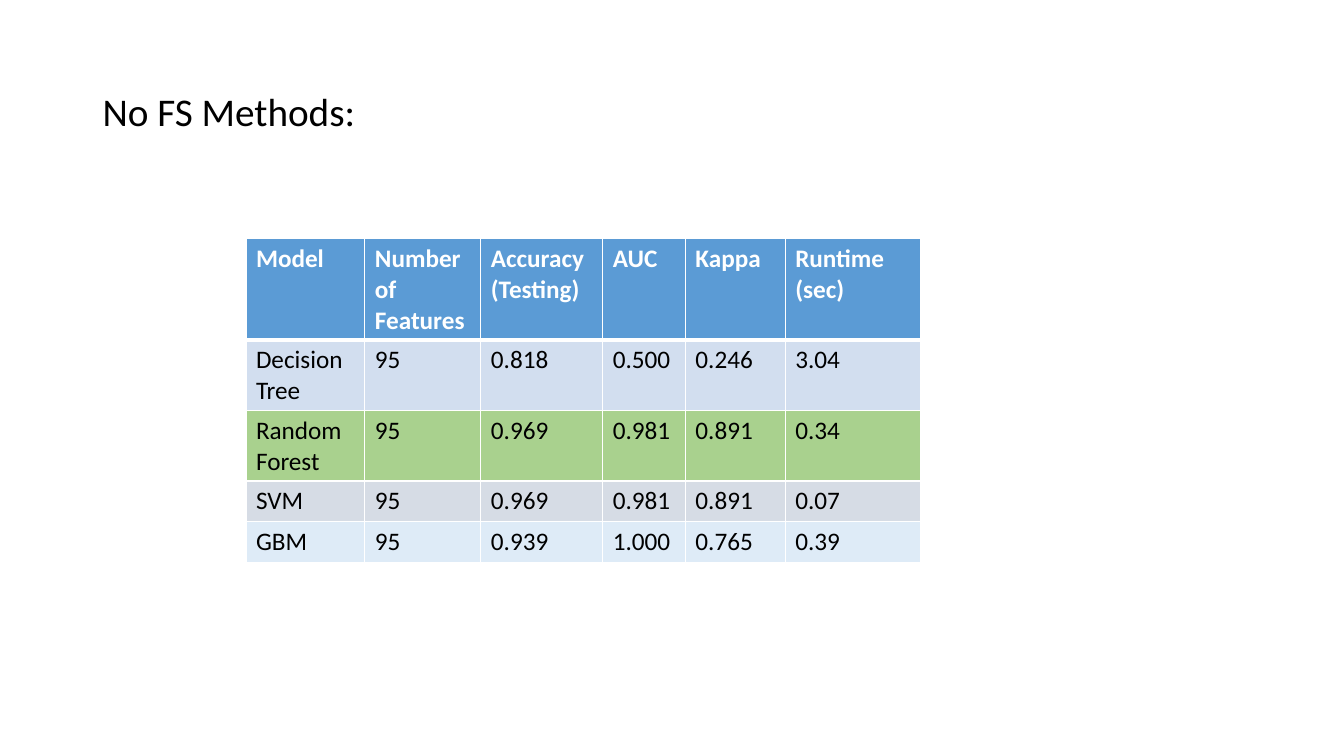
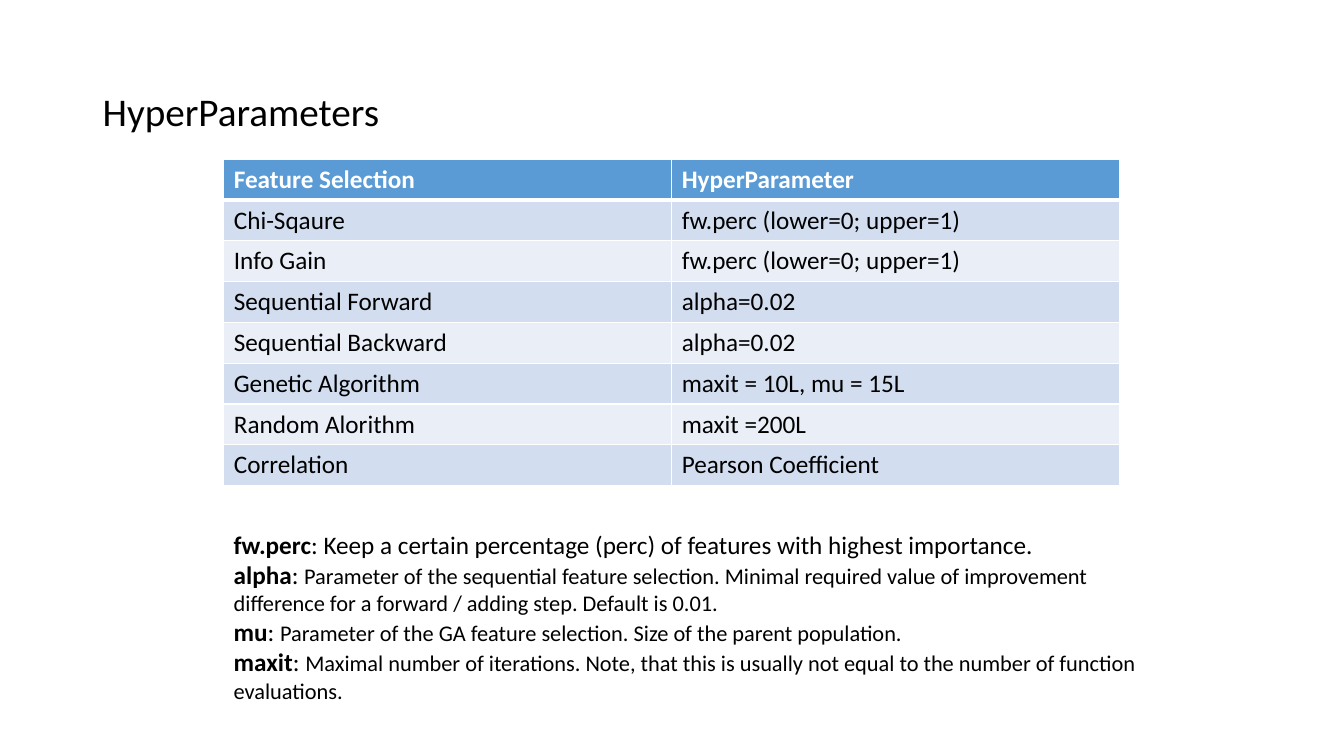
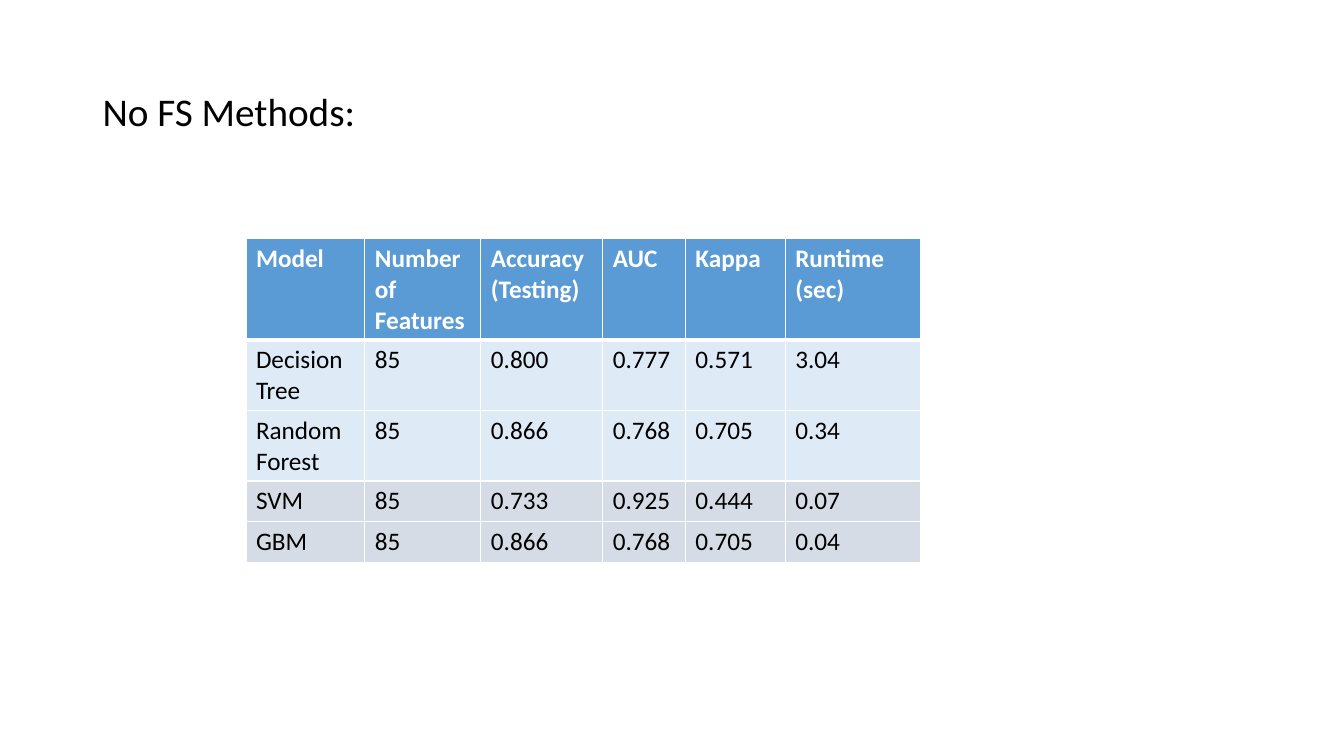
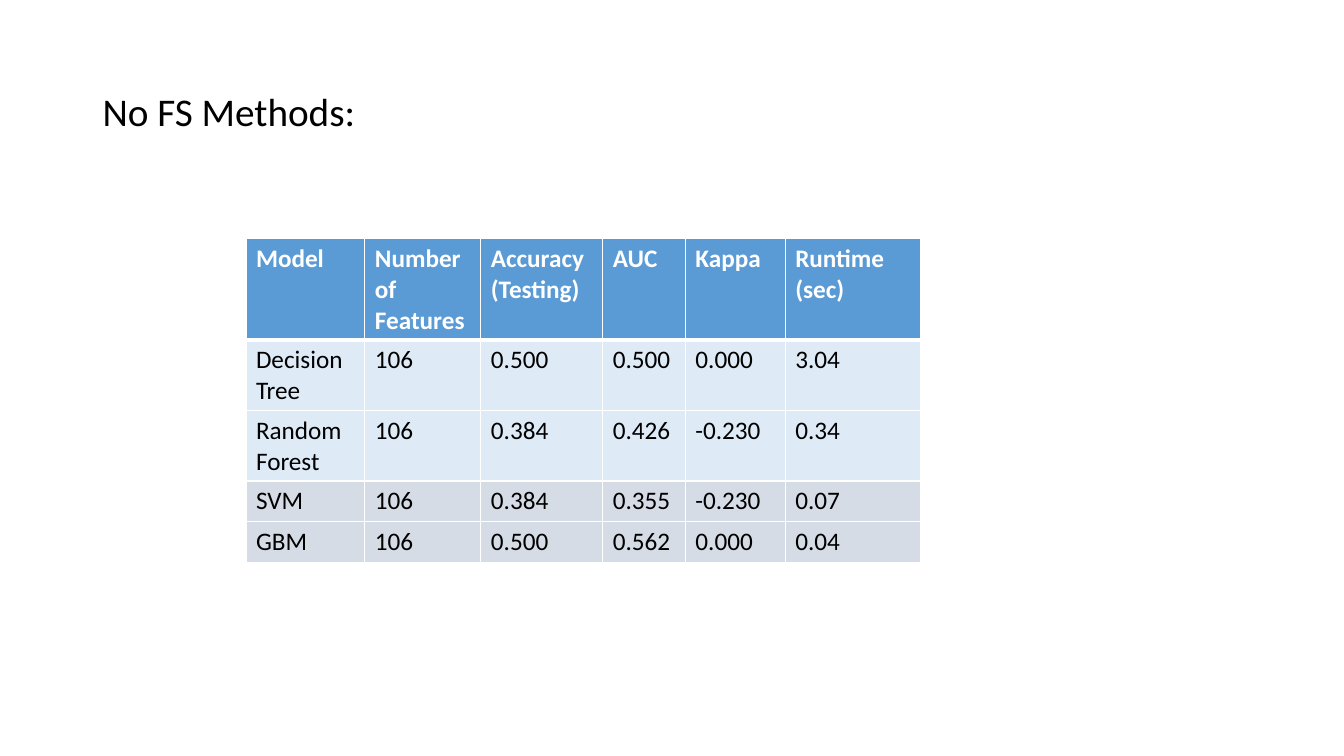
from pptx import Presentation
from pptx.dml.color import RGBColor
from pptx.enum.text import MSO_ANCHOR
from pptx.oxml.ns import qn
from pptx.util import Inches, Pt
from lxml import etree

MIDDLE = MSO_ANCHOR.MIDDLE
TOP = MSO_ANCHOR.TOP

BLACK = RGBColor(0x00, 0x00, 0x00)
WHITE = RGBColor(0xFF, 0xFF, 0xFF)
HEADER_BLUE = RGBColor(0x5B, 0x9B, 0xD5)
BAND_DARK = RGBColor(0xD2, 0xDE, 0xEF)
BAND_LIGHT = RGBColor(0xEA, 0xEF, 0xF7)
PALE_BLUE = RGBColor(0xDE, 0xEB, 0xF7)
GREY_BLUE = RGBColor(0xD6, 0xDC, 0xE5)
BEST_GREEN = RGBColor(0xA9, 0xD1, 0x8E)

FONT = "Calibri"
TITLE_SIZE = 28
BODY_SIZE = 18
DETAIL_SIZE = 16
THIN = 1
THICK = 3

SLIDE_WIDTH = Inches(13.333)
SLIDE_HEIGHT = Inches(7.5)
ROW_SHARE = 5.4

RESULT_HEADER = ["Model", "Number of Features", "Accuracy (Testing)",
                 "AUC", "Kappa", "Runtime (sec)"]
RESULT_COLUMNS = [8.85, 8.63, 9.07, 6.15, 7.43, 10.05]
MODELS = ["Decision Tree", "Random Forest", "SVM", "GBM"]
TWO_PAIRS = [PALE_BLUE, PALE_BLUE, GREY_BLUE, GREY_BLUE]

FIRST_RESULTS = [
    ["0.818", "0.500", "0.246", "3.04"],
    ["0.969", "0.981", "0.891", "0.34"],
    ["0.969", "0.981", "0.891", "0.07"],
    ["0.939", "1.000", "0.765", "0.39"],
]
SECOND_RESULTS = [
    ["0.800", "0.777", "0.571", "3.04"],
    ["0.866", "0.768", "0.705", "0.34"],
    ["0.733", "0.925", "0.444", "0.07"],
    ["0.866", "0.768", "0.705", "0.04"],
]
THIRD_RESULTS = [
    ["0.500", "0.500", "0.000", "3.04"],
    ["0.384", "0.426", "-0.230", "0.34"],
    ["0.384", "0.355", "-0.230", "0.07"],
    ["0.500", "0.562", "0.000", "0.04"],
]
HYPERPARAMETERS = [
    ["Feature Selection", "HyperParameter"],
    ["Chi-Sqaure", "fw.perc (lower=0; upper=1)"],
    ["Info Gain", "fw.perc (lower=0; upper=1)"],
    ["Sequential Forward", "alpha=0.02"],
    ["Sequential Backward", "alpha=0.02"],
    ["Genetic Algorithm", "maxit = 10L, mu = 15L"],
    ["Random Alorithm", "maxit =200L"],
    ["Correlation", "Pearson Coefficient"],
]
DEFINITIONS = [
    ("fw.perc", "Keep a certain percentage (perc) of features with highest "
     "importance.", BODY_SIZE),
    ("alpha", "Parameter of the sequential feature selection. Minimal required "
     "value of improvement difference for a forward / adding step. "
     "Default is 0.01.", DETAIL_SIZE),
    ("mu", "Parameter of the GA feature selection. Size of the parent "
     "population.", DETAIL_SIZE),
    ("maxit", "Maximal number of iterations. Note, that this is usually not "
     "equal to the number of function evaluations.", DETAIL_SIZE),
]


def across(percent):
    return round(SLIDE_WIDTH * percent / 100)


def down(percent):
    return round(SLIDE_HEIGHT * percent / 100)


def add_run(paragraph, text, size=BODY_SIZE, color=BLACK, bold=False):
    run = paragraph.add_run()
    run.text = text
    run.font.name = FONT
    run.font.size = Pt(size)
    run.font.bold = bold
    run.font.color.rgb = color


def add_text_frame(slide, left, top, width, height, anchor):
    box = slide.shapes.add_textbox(across(left), down(top),
                                   across(width), down(height))
    frame = box.text_frame
    frame.word_wrap = True
    frame.vertical_anchor = anchor
    return frame


def add_titled_slide(presentation, title):
    slide = presentation.slides.add_slide(presentation.slide_layouts[6])
    frame = add_text_frame(slide, 6.9, 5.33, 86.25, 19.33, MIDDLE)
    paragraph = frame.paragraphs[0]
    paragraph.line_spacing = 0.9
    add_run(paragraph, title, TITLE_SIZE)
    return slide


def set_borders(cell, top, bottom):
    properties = cell._tc.get_or_add_tcPr()
    for side, width in (("L", THIN), ("R", THIN), ("T", top), ("B", bottom)):
        line = etree.SubElement(properties, qn(f"a:ln{side}"), w=str(Pt(width)))
        fill = etree.SubElement(line, qn("a:solidFill"))
        etree.SubElement(fill, qn("a:srgbClr"), val=str(WHITE))


def add_grid_table(slide, left, top, column_shares, rows, body_fills):
    table = slide.shapes.add_table(
        len(rows), len(column_shares), across(left), down(top),
        across(sum(column_shares)), down(ROW_SHARE * len(rows))).table
    table.first_row = False
    table.horz_banding = False
    for column, share in zip(table.columns, column_shares):
        column.width = across(share)
    for index, (values, fill) in enumerate(zip(rows, [HEADER_BLUE] + body_fills)):
        is_header = index == 0
        table.rows[index].height = down(ROW_SHARE)
        for cell, value in zip(table.rows[index].cells, values):
            set_borders(cell, THICK if index == 1 else THIN,
                        THICK if is_header else THIN)
            cell.fill.solid()
            cell.fill.fore_color.rgb = fill
            add_run(cell.text_frame.paragraphs[0], value,
                    color=WHITE if is_header else BLACK, bold=is_header)


def add_results_slide(presentation, feature_count, results, body_fills):
    slide = add_titled_slide(presentation, "No FS Methods:")
    rows = [RESULT_HEADER] + [[model, feature_count] + scores
                              for model, scores in zip(MODELS, results)]
    add_grid_table(slide, 18.3, 31.6, RESULT_COLUMNS, rows, body_fills)


def add_definitions(slide):
    frame = add_text_frame(slide, 16.65, 69.33, 71.4, 30, TOP)
    for index, (term, meaning, size) in enumerate(DEFINITIONS):
        paragraph = frame.add_paragraph() if index else frame.paragraphs[0]
        add_run(paragraph, term, bold=True)
        add_run(paragraph, ": ")
        add_run(paragraph, meaning, size)


def add_hyperparameters_slide(presentation):
    slide = add_titled_slide(presentation, "HyperParameters")
    body_fills = [BAND_LIGHT if index % 2 else BAND_DARK
                  for index in range(len(HYPERPARAMETERS) - 1)]
    add_grid_table(slide, 16.65, 21.07, [33.33, 33.33],
                   HYPERPARAMETERS, body_fills)
    add_definitions(slide)


def main():
    presentation = Presentation()
    presentation.slide_width = SLIDE_WIDTH
    presentation.slide_height = SLIDE_HEIGHT
    add_results_slide(presentation, "95", FIRST_RESULTS,
                      [BAND_DARK, BEST_GREEN, GREY_BLUE, PALE_BLUE])
    add_hyperparameters_slide(presentation)
    add_results_slide(presentation, "85", SECOND_RESULTS, TWO_PAIRS)
    add_results_slide(presentation, "106", THIRD_RESULTS, TWO_PAIRS)
    presentation.save("out.pptx")


if __name__ == "__main__":
    main()
